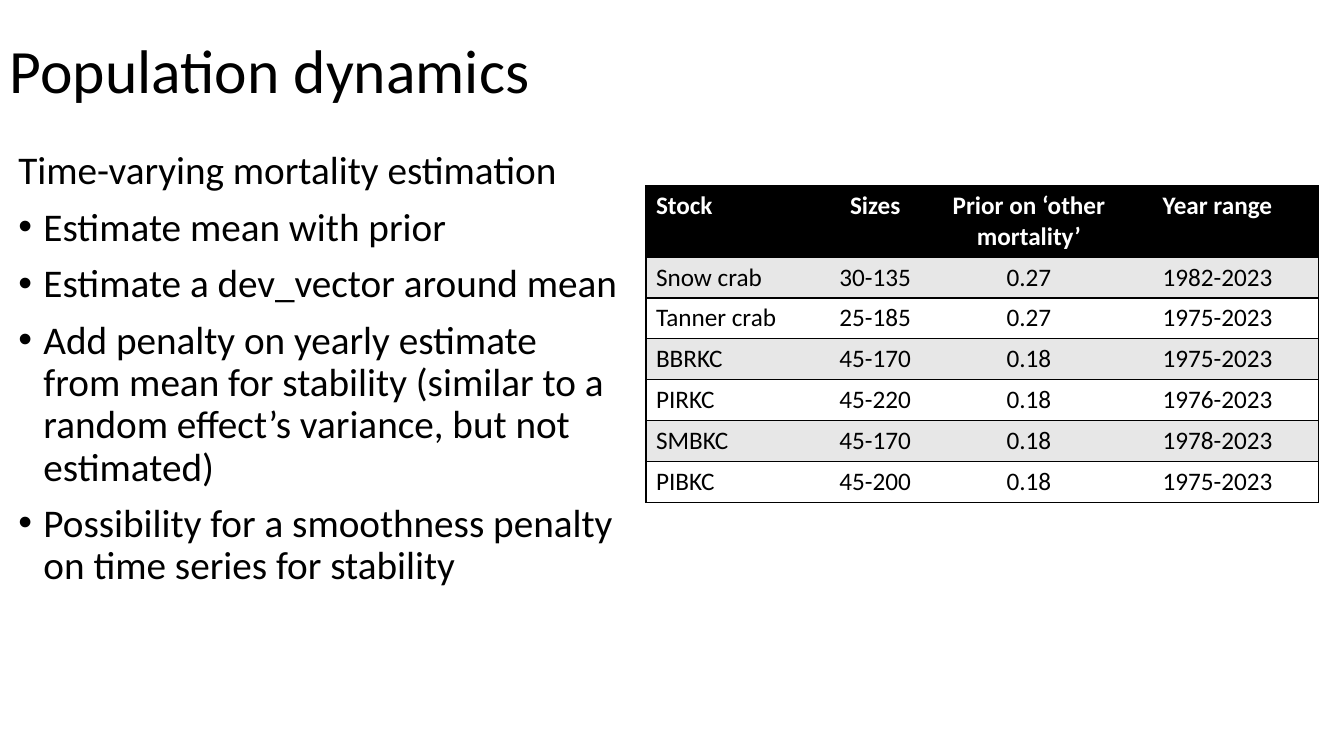
from pptx import Presentation
from pptx.dml.color import RGBColor as Color
from pptx.enum.text import MSO_ANCHOR as Anchor, PP_ALIGN as Align
from pptx.oxml.ns import qn
from pptx.util import Inches, Pt
from lxml.etree import SubElement

# Grid of 160 columns by 90 rows
CELL = Inches(1 / 12)
COLUMNS, ROWS = 160, 90

COLORS = {"ink": "000000", "paper": "FFFFFF", "band": "E7E7E7"}
FONT = "Calibri"
TITLE = {"size": Pt(44), "bold": False}
BODY = {"size": Pt(28), "bold": False}
HEADER = {"size": Pt(18), "bold": True}
ENTRY = {"size": Pt(18), "bold": False}

LEAD = "Time-varying mortality estimation"
POINTS = [
    "Estimate mean with prior",
    "Estimate a dev_vector around mean",
    "Add penalty on yearly estimate from mean for stability "
    "(similar to a random effect’s variance, but not estimated)",
    "Possibility for a smoothness penalty on time series for stability",
]
STOCKS = [
    ("Stock", "Sizes", "Prior on ‘other mortality’", "Year range"),
    ("Snow crab", "30-135", "0.27", "1982-2023"),
    ("Tanner crab", "25-185", "0.27", "1975-2023"),
    ("BBRKC", "45-170", "0.18", "1975-2023"),
    ("PIRKC", "45-220", "0.18", "1976-2023"),
    ("SMBKC", "45-170", "0.18", "1978-2023"),
    ("PIBKC", "45-200", "0.18", "1975-2023"),
]
STOCK_WIDTHS = [19.4, 15.8, 20.8, 24.1]
HEADER_HEIGHT, ENTRY_HEIGHT = 8.5, 4.87


def grid(*cells):
    return [round(count * CELL) for count in cells]


def set_all(target, values):
    for name, value in values.items():
        setattr(target, name, value)


def write(para, text, style, color="ink"):
    span = para.add_run()
    span.text = text
    set_all(span.font, {"name": FONT, **style})
    span.font.color.rgb = Color.from_string(COLORS[color])


def add_bullet(para):
    props = para._p.get_or_add_pPr()
    props.set("marL", str(Inches(0.25)))
    props.set("indent", str(-Inches(0.25)))
    SubElement(props, qn("a:buFont"), typeface="Arial")
    SubElement(props, qn("a:buChar"), char="•")


def add_text(page, place, lead, style, anchor=Anchor.TOP, points=()):
    frame = page.shapes.add_textbox(*grid(*place)).text_frame
    set_all(frame, {"word_wrap": True, "vertical_anchor": anchor})
    para = frame.paragraphs[0]
    para.line_spacing = 0.9
    write(para, lead, style)
    for point in points:
        para = frame.add_paragraph()
        set_all(para, {"line_spacing": 0.9, "space_before": Pt(10)})
        add_bullet(para)
        write(para, point, style)


def set_borders(cell, drawn):
    props = cell._tc.get_or_add_tcPr()
    for index, side in enumerate("LRTB"):
        line = SubElement(props, qn(f"a:ln{side}"), w=str(Pt(1)))
        props.insert(index, line)
        if side in drawn:
            fill = SubElement(line, qn("a:solidFill"))
            SubElement(fill, qn("a:srgbClr"), val=COLORS["ink"])
        else:
            SubElement(line, qn("a:noFill"))


def add_stock_table(page, left, top):
    heights = [HEADER_HEIGHT] + [ENTRY_HEIGHT] * (len(STOCKS) - 1)
    place = grid(left, top, sum(STOCK_WIDTHS), sum(heights))
    table = page.shapes.add_table(len(STOCKS), len(STOCK_WIDTHS), *place).table
    set_all(table, {"first_row": False, "horz_banding": False})
    for column, width in zip(table.columns, grid(*STOCK_WIDTHS)):
        column.width = width
    for row, height in zip(table.rows, grid(*heights)):
        row.height = height

    # Black header, then grey and white bands; no inner vertical lines
    last = len(STOCK_WIDTHS) - 1
    for r, record in enumerate(STOCKS):
        shade = "ink" if r == 0 else ("band" if r % 2 else "paper")
        for c, text in enumerate(record):
            cell = table.cell(r, c)
            cell.fill.solid()
            cell.fill.fore_color.rgb = Color.from_string(COLORS[shade])
            set_borders(cell, "TB" + {0: "L", last: "R"}.get(c, ""))
            para = cell.text_frame.paragraphs[0]
            para.alignment = Align.CENTER if c else Align.LEFT
            write(para, text, ENTRY if r else HEADER, "ink" if r else "paper")


def main():
    deck = Presentation()
    deck.slide_width, deck.slide_height = grid(COLUMNS, ROWS)
    page = deck.slides.add_slide(deck.slide_layouts[6])

    # Title, text on the left, table on the right
    add_text(page, (0, 0, 138, 17.4), "Population dynamics", TITLE, Anchor.MIDDLE)
    add_text(page, (1, 17.4, 74.2, 65.5), LEAD, BODY, points=POINTS)
    add_stock_table(page, 76.9, 22.1)
    deck.save("out.pptx")


if __name__ == "__main__":
    main()
